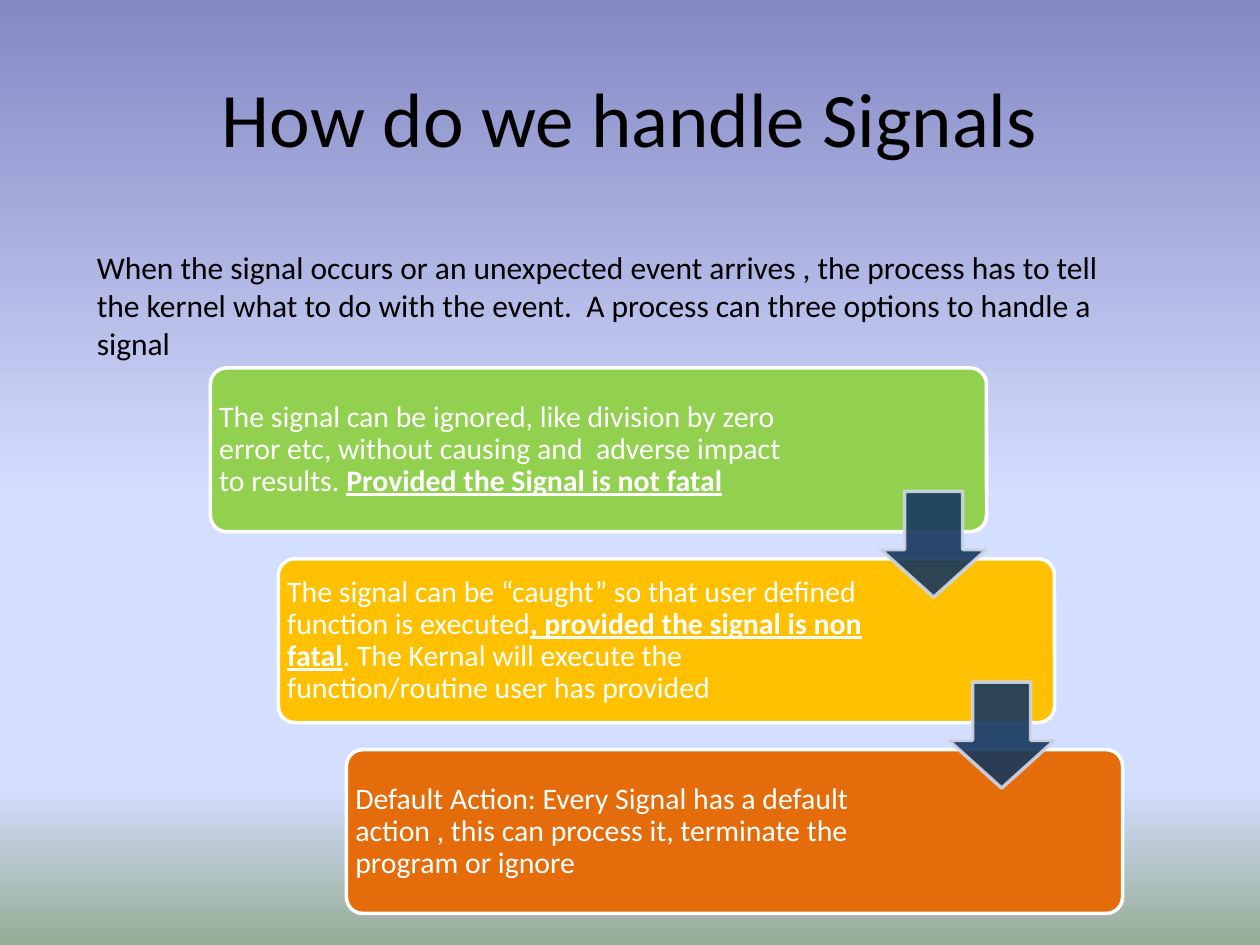
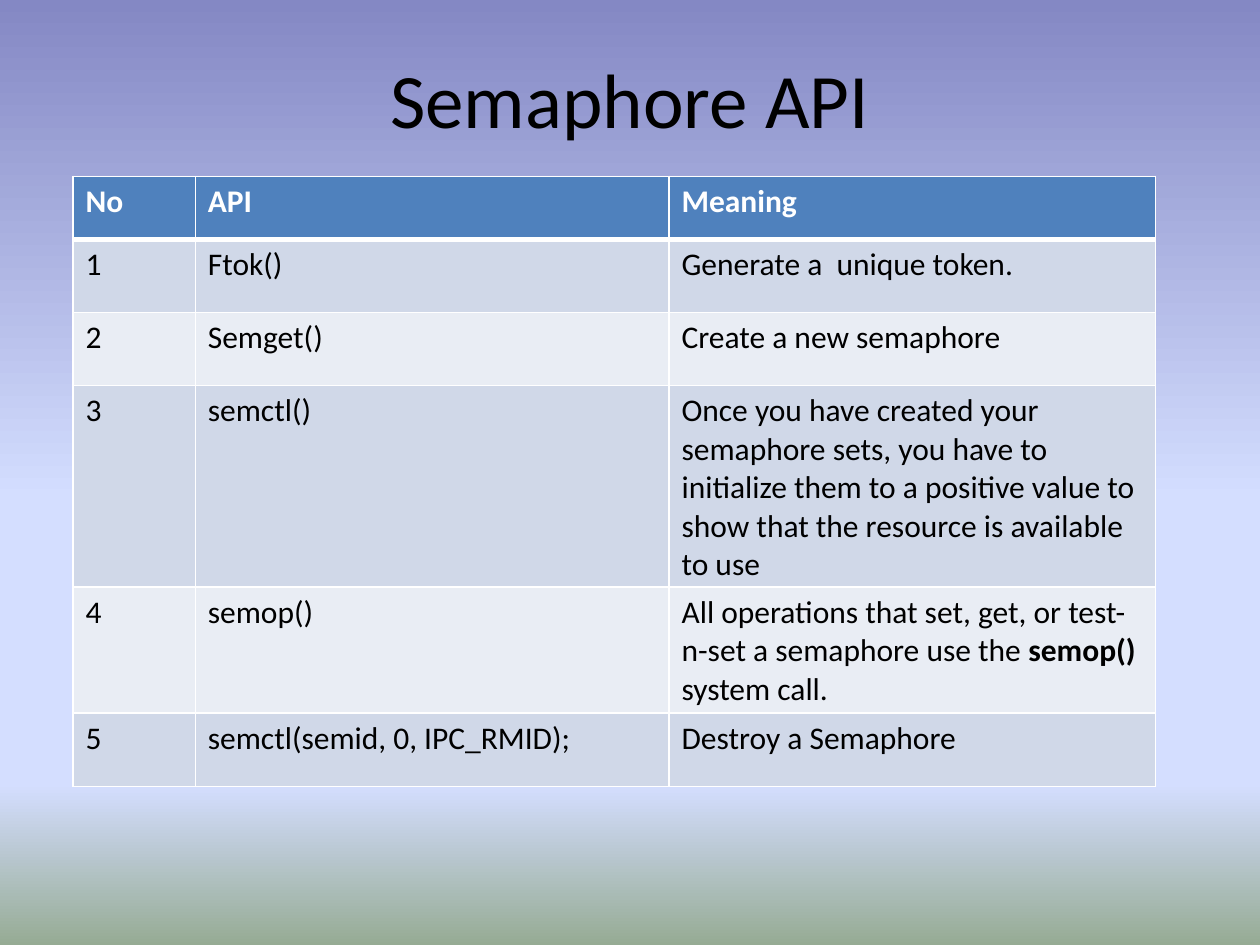
"""Build two slides: handling signals as descending steps, and a semaphore API table."""
import typing

import lxml.etree
import pptx
import pptx.dml.color
import pptx.enum.shapes
import pptx.enum.text
import pptx.oxml.ns
import pptx.util

Inches = pptx.util.Inches
Pt = pptx.util.Pt
qn = pptx.oxml.ns.qn
SHAPE = pptx.enum.shapes.MSO_SHAPE
MIDDLE = pptx.enum.text.MSO_ANCHOR.MIDDLE

FONT = "Calibri"
COLORS = {
    "text": "000000",
    "white": "FFFFFF",
    "sky_top": "8488C4",
    "sky": "D4DEFF",
    "ground": "96AB94",
    "green": "92D050",
    "amber": "FFC000",
    "orange": "E46C0A",
    "arrow": "17375E",
    "arrow_edge": "D0D8E8",
    "header": "4F81BD",
    "odd": "D0D8E8",
    "even": "E9EDF4",
}
BACKGROUND_STOPS = ((0, "sky_top"), (53, "sky"), (83, "sky"), (100, "ground"))


class Span(typing.NamedTuple):
    text: str
    bold: bool = False
    underline: bool = False


class Step(typing.NamedTuple):
    color: str
    text_width: float
    spans: tuple[Span, ...]


class ApiRow(typing.NamedTuple):
    no: str
    api: str
    meaning: tuple[Span, ...]


STEPS = (
    Step("green", 4.84, (
        Span("The signal can be ignored, like division by zero error etc, "
             "without causing and  adverse impact to results. "),
        Span("Provided the Signal is not fatal", True, True),
    )),
    Step("amber", 4.77, (
        Span("The signal can be “caught” so that user defined function is executed"),
        Span(", provided the signal is non fatal", True, True),
        Span(". The Kernal will execute the function/routine user has provided"),
    )),
    Step("orange", 4.77, (
        Span("Default Action: Every Signal has a default action , this can "
             "process it, terminate the program or ignore"),
    )),
)
STEP_LEFT, STEP_TOP = 1.67, 2.92
STEP_DX, STEP_DY = 0.54, 1.515
STEP_WIDTH, STEP_HEIGHT = 6.16, 1.3
ARROW_SIZE, ARROW_DROP = 0.84, 0.98

API_ROWS = (
    ApiRow("No", "API", (Span("Meaning"),)),
    ApiRow("1", "Ftok()", (Span("Generate a  unique token."),)),
    ApiRow("2", "Semget()", (Span("Create a new semaphore"),)),
    ApiRow("3", "semctl()", (
        Span("Once you have created your semaphore sets, you have to initialize "
             "them to a positive value to show that the resource is available to use"),
    )),
    ApiRow("4", "semop()", (
        Span("All operations that set, get, or test-n-set a semaphore use the "),
        Span("semop()", True),
        Span(" system call."),
    )),
    ApiRow("5", "semctl(semid, 0, IPC_RMID);", (Span("Destroy a Semaphore"),)),
)
COLUMN_WIDTHS = (0.97, 3.76, 3.86)
HEADER_HEIGHT, ROW_HEIGHT = 0.5, 0.58


def rgb(name: str) -> pptx.dml.color.RGBColor:
    return pptx.dml.color.RGBColor.from_string(COLORS[name])


def write(tf, spans: tuple[Span, ...], size: float, color: str, bold: bool | None = None):
    p = tf.paragraphs[0]
    p.font.name = FONT
    p.font.size = Pt(size)
    p.font.color.rgb = rgb(color)
    p.font.bold = bold
    for span in spans:
        r = p.add_run()
        r.text = span.text
        if span.bold:
            r.font.bold = True
        if span.underline:
            r.font.underline = True
    return p


def add_text(s, left: float, top: float, width: float, height: float,
             spans: tuple[Span, ...], size: float, color: str = "text"):
    sp = s.shapes.add_textbox(Inches(left), Inches(top), Inches(width), Inches(height))
    sp.text_frame.word_wrap = True
    write(sp.text_frame, spans, size, color)
    return sp


def add_block(s, kind, left: float, top: float, width: float, height: float,
              adjustments: tuple[float, ...], fill: str, line: str):
    sp = s.shapes.add_shape(kind, Inches(left), Inches(top), Inches(width), Inches(height))
    sp.shadow.inherit = False
    for i, value in enumerate(adjustments):
        sp.adjustments[i] = value
    sp.fill.solid()
    sp.fill.fore_color.rgb = rgb(fill)
    sp.line.color.rgb = rgb(line)
    sp.line.width = Pt(2)
    return sp


def add_titled_slide(prs, title: str, title_height: float):
    s = prs.slides.add_slide(prs.slide_layouts[6])
    fill = s.background.fill
    fill.gradient()
    fill.gradient_angle = 270
    stops = s.background._cSld.find(".//" + qn("a:gsLst"))
    stops.clear()
    for percent, name in BACKGROUND_STOPS:
        stop = lxml.etree.SubElement(stops, qn("a:gs"), pos=str(percent * 1000))
        lxml.etree.SubElement(stop, qn("a:srgbClr"), val=COLORS[name])
    sp = add_text(s, 0.5, 0.3, 9, title_height, (Span(title),), 44)
    sp.text_frame.vertical_anchor = MIDDLE
    sp.text_frame.paragraphs[0].alignment = pptx.enum.text.PP_ALIGN.CENTER
    return s


def add_step(s, step: Step, left: float, top: float) -> None:
    add_block(s, SHAPE.ROUNDED_RECTANGLE, left, top, STEP_WIDTH, STEP_HEIGHT,
              (0.1,), step.color, "white")
    tf = add_text(s, left, top, step.text_width, STEP_HEIGHT,
                  step.spans, 17, "white").text_frame
    tf.vertical_anchor = MIDDLE
    tf.margin_left = tf.margin_right = tf.margin_top = tf.margin_bottom = Inches(0.07)
    tf.paragraphs[0].line_spacing = 0.9


def add_step_arrow(s, left: float, top: float) -> None:
    sp = add_block(s, SHAPE.DOWN_ARROW, left + STEP_WIDTH - ARROW_SIZE, top + ARROW_DROP,
                   ARROW_SIZE, ARROW_SIZE, (0.55, 0.45), "arrow", "arrow_edge")
    for color in sp._element.spPr.iter(qn("a:srgbClr")):
        lxml.etree.SubElement(color, qn("a:alpha"), val="90000")


def set_borders(cell, top: float, bottom: float) -> None:
    tc_pr = cell._tc.get_or_add_tcPr()
    for tag, width in (("lnL", 1), ("lnR", 1), ("lnT", top), ("lnB", bottom)):
        ln = lxml.etree.SubElement(tc_pr, qn(f"a:{tag}"), w=str(Pt(width)))
        solid = lxml.etree.SubElement(ln, qn("a:solidFill"))
        lxml.etree.SubElement(solid, qn("a:srgbClr"), val=COLORS["white"])


def add_api_table(s) -> None:
    frame = s.shapes.add_table(len(API_ROWS), len(COLUMN_WIDTHS), Inches(0.58), Inches(1.4),
                               Inches(sum(COLUMN_WIDTHS)), Inches(4.85))
    table = frame.table
    for column, width in zip(table.columns, COLUMN_WIDTHS):
        column.width = Inches(width)
    for i, row in enumerate(API_ROWS):
        header = i == 0
        table.rows[i].height = Inches(HEADER_HEIGHT if header else ROW_HEIGHT)
        fill = "header" if header else "odd" if i % 2 else "even"
        for j, spans in enumerate(((Span(row.no),), (Span(row.api),), row.meaning)):
            cell = table.cell(i, j)
            set_borders(cell, 3 if i == 1 else 1, 3 if header else 1)
            cell.fill.solid()
            cell.fill.fore_color.rgb = rgb(fill)
            write(cell.text_frame, spans, 18, "white" if header else "text", header)
    frame.height = Inches(4.85)


def build_signals(prs) -> None:
    s = add_titled_slide(prs, "How do we handle Signals", 1.25)
    intro = Span("When the signal occurs or an unexpected event arrives , the process has "
                 "to tell the kernel what to do with the event.  A process can three "
                 "options to handle a signal")
    sp = add_text(s, 0.67, 1.92, 8.5, 1.01, (intro,), 18)
    sp.text_frame.auto_size = pptx.enum.text.MSO_AUTO_SIZE.SHAPE_TO_FIT_TEXT
    corners = [(STEP_LEFT + i * STEP_DX, STEP_TOP + i * STEP_DY) for i in range(len(STEPS))]
    for step, (left, top) in zip(STEPS, corners):
        add_step(s, step, left, top)
    for left, top in corners[:-1]:
        add_step_arrow(s, left, top)


def build_semaphores(prs) -> None:
    s = add_titled_slide(prs, "Semaphore API", 0.95)
    add_api_table(s)


def main() -> None:
    prs = pptx.Presentation()
    prs.slide_width = Inches(10)
    prs.slide_height = Inches(7.5)
    build_signals(prs)
    build_semaphores(prs)
    prs.save("out.pptx")


if __name__ == "__main__":
    main()
